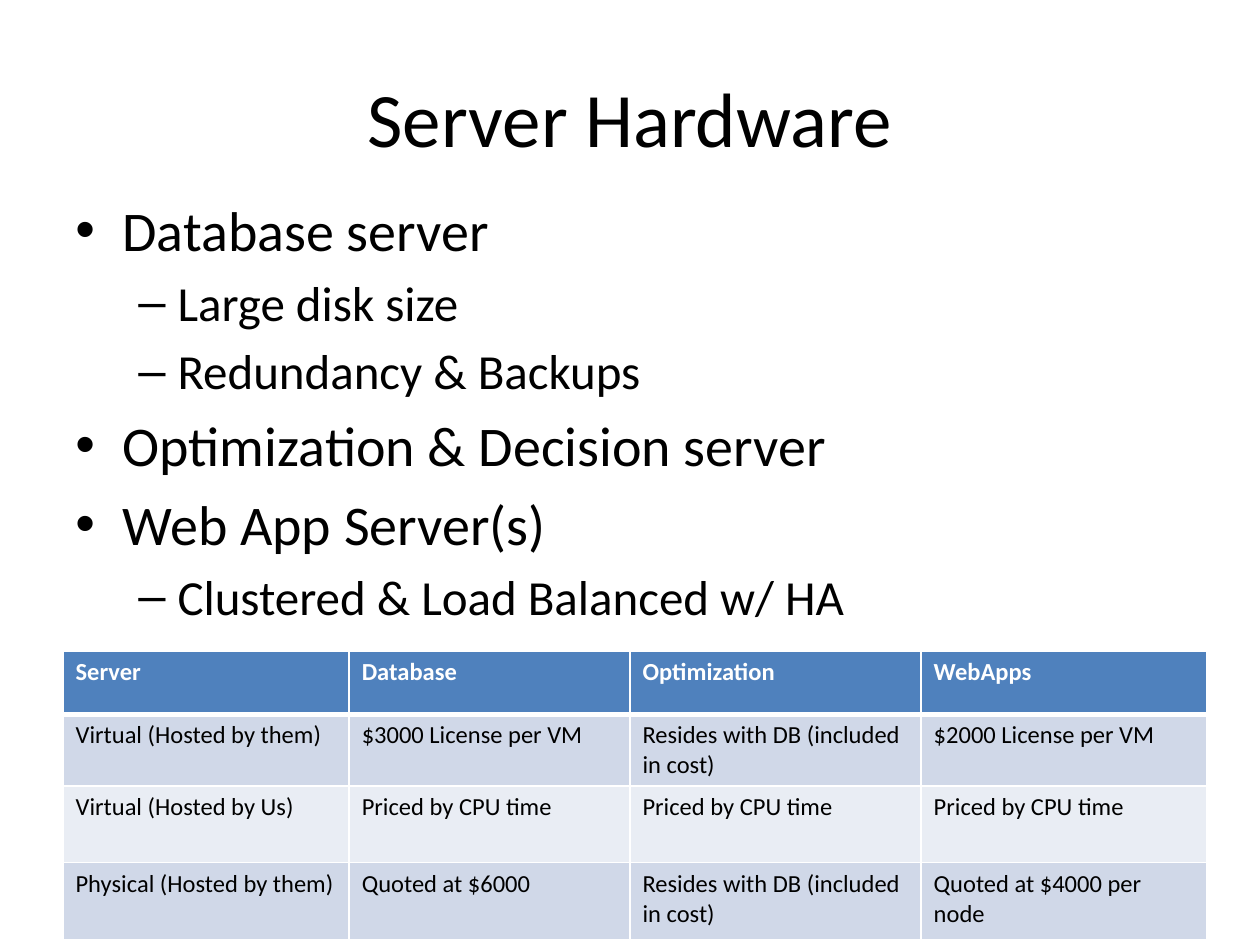
"""Build the Server Hardware slide with its outline and price table."""
import pptx
import pptx.dml.color
import pptx.enum.text
import pptx.oxml
import pptx.oxml.ns
import pptx.util
from pptx.util import Cm, Pt

COLORS = {"text": "000000", "header": "4F81BD", "odd": "D0D8E8",
          "even": "E9EDF4", "white": "FFFFFF"}
NAMESPACE = pptx.oxml.ns.nsdecls("a")


def format_runs(paragraph, size, color="text", bold=False):
    for run in paragraph.runs:
        run.font.name = "Calibri"
        run.font.size = Pt(size)
        run.font.bold = bold
        run.font.color.rgb = pptx.dml.color.RGBColor.from_string(COLORS[color])


presentation = pptx.Presentation()
presentation.slide_width, presentation.slide_height = Cm(25.4), Cm(19.05)
slide = presentation.slides.add_slide(presentation.slide_layouts[6])

title = slide.shapes.add_textbox(Cm(1.27), Cm(0.76), Cm(22.86), Cm(3.18))
title.text_frame.word_wrap = True
title.text_frame.vertical_anchor = pptx.enum.text.MSO_ANCHOR.MIDDLE
title.text_frame.text = "Server Hardware"
title.text_frame.paragraphs[0].alignment = pptx.enum.text.PP_ALIGN.CENTER
format_runs(title.text_frame.paragraphs[0], 44)

outline = [
    (0, "Database server"),
    (1, "Large disk size"),
    (1, "Redundancy & Backups"),
    (0, "Optimization & Decision server"),
    (0, "Web App Server(s)"),
    (1, "Clustered & Load Balanced w/ HA"),
]
level_styles = [(32, "•", 0.95, -0.95), (28, "–", 2.06, -0.79)]
body = slide.shapes.add_textbox(Cm(1.27), Cm(3.81), Cm(22.86), Cm(12.57))
body.text_frame.word_wrap = True
body.text_frame.text = "\n".join(text for level, text in outline)
for paragraph, (level, text) in zip(body.text_frame.paragraphs, outline):
    size, bullet, margin, indent = level_styles[level]
    paragraph.level = level
    paragraph.space_before = Pt(size * 0.2)
    format_runs(paragraph, size)
    properties = paragraph._p.get_or_add_pPr()
    properties.set("marL", str(Cm(margin)))
    properties.set("indent", str(Cm(indent)))
    properties.append(pptx.oxml.parse_xml(f'<a:buFont {NAMESPACE} typeface="Arial"/>'))
    properties.append(pptx.oxml.parse_xml(f'<a:buChar {NAMESPACE} char="{bullet}"/>'))

prices = [
    ["Server", "Database", "Optimization", "WebApps"],
    ["Virtual (Hosted by them)", "$3000 License per VM",
     "Resides with DB (included in cost)", "$2000 License per VM"],
    ["Virtual (Hosted by Us)"] + ["Priced by CPU time"] * 3,
    ["Physical (Hosted by them)", "Quoted at $6000",
     "Resides with DB (included in cost)", "Quoted at $4000 per node"],
]
row_fills = ["header", "odd", "even", "odd"]
table = slide.shapes.add_table(4, 4, Cm(1.27), Cm(13.13), Cm(23.06), Cm(5.64)).table
for column, width in zip(table.columns, [5.77, 5.66, 5.87, 5.76]):
    column.width = Cm(width)
for row, height in zip(table.rows, [1.27, 1.27, 1.55, 1.55]):
    row.height = Cm(height)

for row_index, (texts, fill) in enumerate(zip(prices, row_fills)):
    is_header = row_index == 0
    for column_index, text in enumerate(texts):
        cell = table.cell(row_index, column_index)
        cell.text_frame.text = text
        format_runs(cell.text_frame.paragraphs[0], 14,
                    "white" if is_header else "text", is_header)
        thick_sides = {0: "B", 1: "T"}.get(row_index, "")
        for side in "LRTB":
            width = Pt(3 if side == thick_sides else 1)
            cell._tc.get_or_add_tcPr().append(pptx.oxml.parse_xml(
                f'<a:ln{side} {NAMESPACE} w="{width}"><a:solidFill>'
                f'<a:srgbClr val="{COLORS["white"]}"/></a:solidFill></a:ln{side}>'))
        cell.fill.solid()
        cell.fill.fore_color.rgb = pptx.dml.color.RGBColor.from_string(COLORS[fill])

presentation.save("out.pptx")
